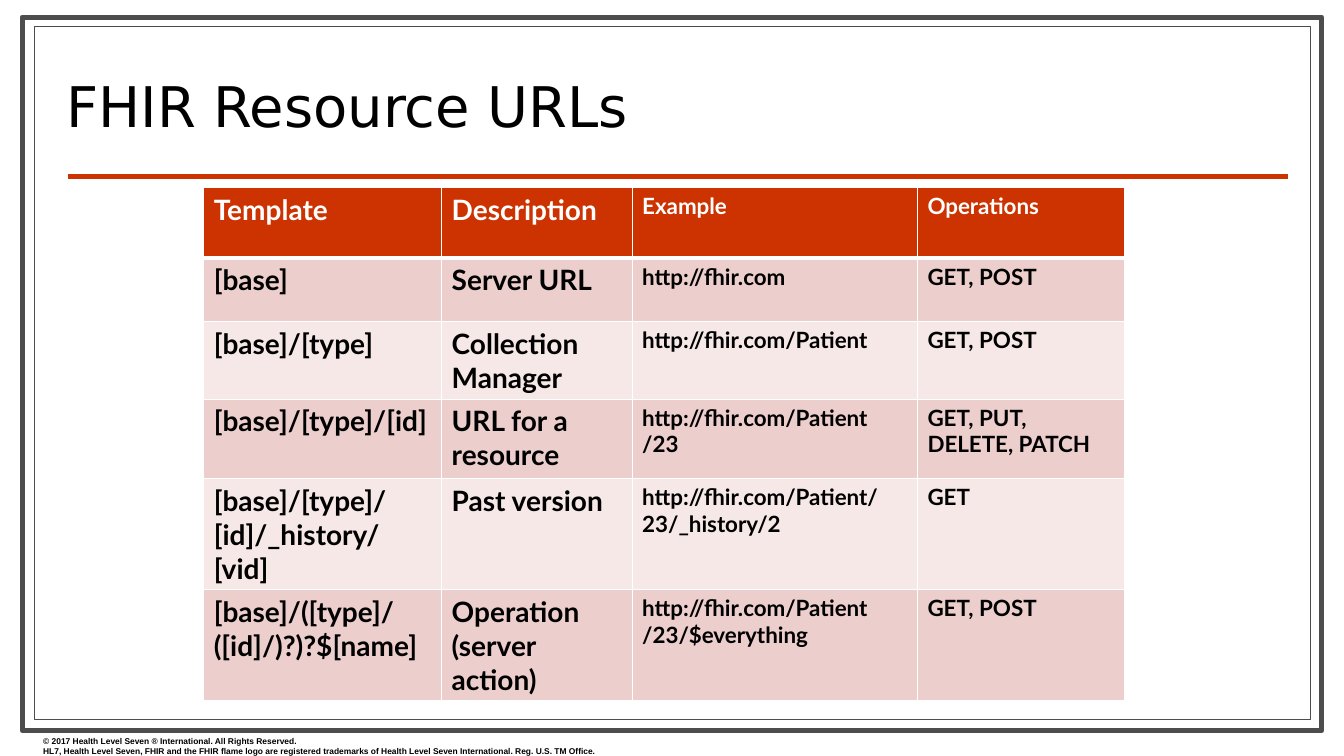
from dataclasses import dataclass

from lxml import etree
from pptx import Presentation
from pptx.dml.color import RGBColor
from pptx.enum import shapes, text
from pptx.oxml import ns
from pptx.util import Inches, Pt


@dataclass(frozen=True)
class Theme:
    white: str = "FFFFFF"
    black: str = "000000"
    frame: str = "4D4D4D"
    accent: str = "CC3300"
    bands: tuple = ("ECCECC", "F6E8E7")
    title_font: str = "DejaVu Sans"
    table_font: str = "Lato"
    footer_font: str = "Arial"
    title_size: float = 40
    footer_size: float = 6
    column_sizes: tuple = (20, 20, 16, 16)


COLUMN_WIDTHS = (2.36, 1.89, 2.83, 2.05)
ROW_HEIGHTS = (0.7, 0.63, 0.77, 0.79, 0.79, 0.79)
# In cell text, \n starts a paragraph and \v breaks a line.
URL_ROWS = (
    ("Template", "Description", "Example", "Operations"),
    ("[base]", "Server URL", "http://fhir.com", "GET, POST"),
    ("[base]/[type]", "Collection Manager", "http://fhir.com/Patient", "GET, POST"),
    ("[base]/[type]/[id]", "URL for a resource", "http://fhir.com/Patient\n/23",
     "GET, PUT, DELETE, PATCH"),
    ("[base]/[type]/[id]/_history/[vid]", "Past version",
     "http://fhir.com/Patient/23/_history/2", "GET"),
    ("[base]/([type]/([id]/)?)?$[name]", "Operation (server action)",
     "http://fhir.com/Patient\v/23/$everything", "GET, POST"),
)
COPYRIGHT = (
    "© 2017 Health Level Seven ® International. All Rights Reserved.\n"
    "HL7, Health Level Seven, FHIR and the FHIR flame logo are registered trademarks "
    "of Health Level Seven International. Reg. U.S. TM Office."
)


class SlideBuilder:
    def __init__(self, slide, theme):
        self.s = slide
        self.theme = theme

    def set_text(self, tf, content, font, size, color, bold=False):
        tf.text = content
        for p in tf.paragraphs:
            for r in p.runs:
                r.font.name = font
                r.font.size = Pt(size)
                r.font.bold = bold
                r.font.color.rgb = RGBColor.from_string(color)

    def frame(self, x, y, w, h, weight):
        sp = self.s.shapes.add_shape(
            shapes.MSO_SHAPE.RECTANGLE, Inches(x), Inches(y), Inches(w), Inches(h))
        sp.shadow.inherit = False
        sp.fill.solid()
        sp.fill.fore_color.rgb = RGBColor.from_string(self.theme.white)
        sp.line.color.rgb = RGBColor.from_string(self.theme.frame)
        sp.line.width = Pt(weight)

    def rule(self, x1, x2, y, weight):
        line = self.s.shapes.add_connector(
            shapes.MSO_CONNECTOR.STRAIGHT, Inches(x1), Inches(y), Inches(x2), Inches(y))
        line.line.color.rgb = RGBColor.from_string(self.theme.accent)
        line.line.width = Pt(weight)
        etree.SubElement(line._element.spPr, ns.qn("a:effectLst"))

    def textbox(self, x, y, w, h, content, font, size, bold=False,
                anchor=text.MSO_ANCHOR.TOP, spacing=None):
        tf = self.s.shapes.add_textbox(
            Inches(x), Inches(y), Inches(w), Inches(h)).text_frame
        tf.word_wrap = True
        tf.vertical_anchor = anchor
        self.set_text(tf, content, font, size, self.theme.black, bold)
        for p in tf.paragraphs:
            p.line_spacing = spacing

    def borders(self, cell, bottom):
        """Draw thin white edges, with the given weight below the cell."""
        tc_pr = cell._tc.get_or_add_tcPr()
        weights = {"a:lnL": 1, "a:lnR": 1, "a:lnT": 1, "a:lnB": bottom}
        for i, (tag, weight) in enumerate(weights.items()):
            ln = etree.Element(ns.qn(tag), w=str(Pt(weight)))
            fill = etree.SubElement(ln, ns.qn("a:solidFill"))
            etree.SubElement(fill, ns.qn("a:srgbClr"), val=self.theme.white)
            tc_pr.insert(i, ln)

    def table(self, x, y, widths, heights, rows):
        t = self.theme
        table = self.s.shapes.add_table(
            len(rows), len(widths), Inches(x), Inches(y),
            Inches(sum(widths)), Inches(sum(heights))).table
        for column, width in zip(table.columns, widths):
            column.width = Inches(width)
        for i, (row, height, values) in enumerate(zip(table.rows, heights, rows)):
            row.height = Inches(height)
            header = i == 0
            fill = t.accent if header else t.bands[(i - 1) % 2]
            color = t.white if header else t.black
            for cell, value, size in zip(row.cells, values, t.column_sizes):
                cell.fill.solid()
                cell.fill.fore_color.rgb = RGBColor.from_string(fill)
                self.set_text(cell.text_frame, value, t.table_font, size, color, bold=True)
                self.borders(cell, bottom=3 if header else 1)


def main():
    prs = Presentation()
    prs.slide_width, prs.slide_height = Inches(13.33), Inches(7.5)
    theme = Theme()
    b = SlideBuilder(prs.slides.add_slide(prs.slide_layouts[6]), theme)
    b.frame(0.22, 0.17, 12.89, 7.08, 3.5)
    b.frame(0.34, 0.26, 12.66, 6.88, 0.75)
    b.rule(0.67, 12.77, 1.75, 3)
    b.textbox(0.33, 7.25, 6.44, 0.3, COPYRIGHT, theme.footer_font,
              theme.footer_size, bold=True)
    b.textbox(0.56, 0.52, 10.2, 0.9, "FHIR Resource URLs", theme.title_font,
              theme.title_size, anchor=text.MSO_ANCHOR.BOTTOM, spacing=0.8)
    b.table(2.02, 1.86, COLUMN_WIDTHS, ROW_HEIGHTS, URL_ROWS)
    prs.save("out.pptx")


if __name__ == "__main__":
    main()
